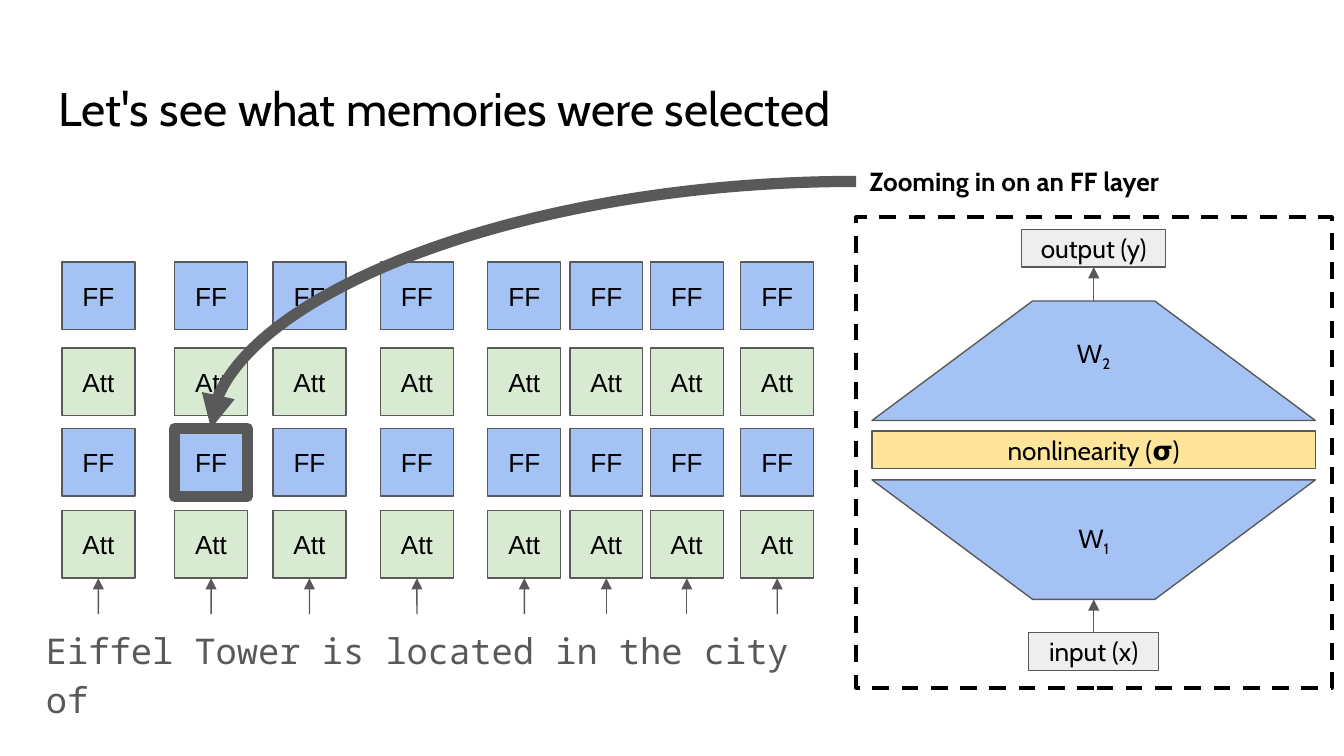
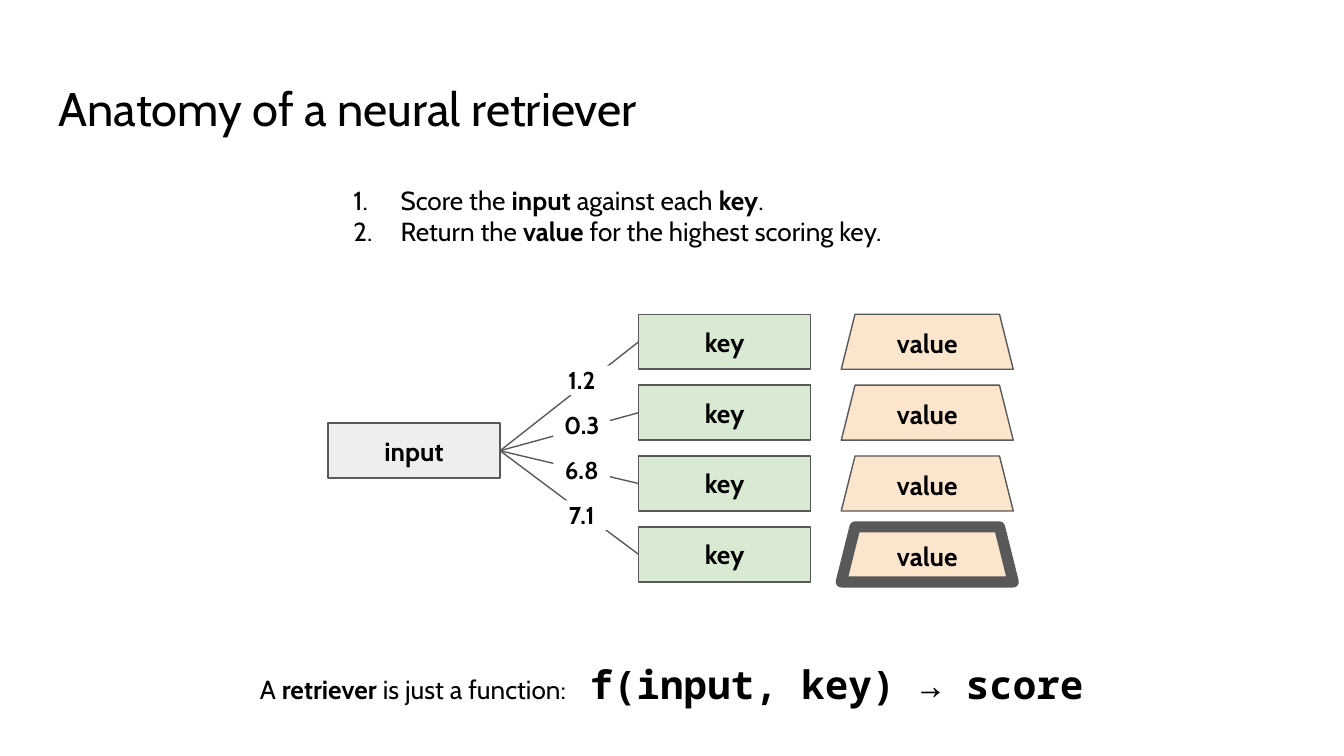
from pptx import Presentation
from pptx.dml.color import RGBColor
from pptx.enum.dml import MSO_LINE
from pptx.enum.shapes import MSO_CONNECTOR as Link, MSO_SHAPE as Shape
from pptx.enum.text import MSO_ANCHOR as Anchor, MSO_AUTO_SIZE as Fit, PP_ALIGN as Align
from pptx.oxml.ns import qn
from pptx.util import Cm, Pt
from lxml.etree import SubElement

# Content
MEMORY_TITLE = "Let's see what memories were selected"
SENTENCE = "Eiffel Tower is located in the city of"
ZOOM_LABEL = "Zooming in on an FF layer"
RETRIEVER_TITLE = "Anatomy of a neural retriever"
SCORES = ["1.2", "0.3", "6.8", "7.1"]
BEST = 3
BOLD = {"bold": True}
STEPS = [
    ["Score the ", ("input", BOLD), " against each ", ("key", BOLD), "."],
    ["Return the ", ("value", BOLD), " for the highest scoring key."],
]
SUMMARY = ["A ", ("retriever", BOLD), " is just a function:",
           (" f(input, key) → score", {"bold": True, "size": 21, "font": "Noto Sans Mono"})]

# Shared style
COLORS = {"text": "000000", "line": "595959", "blue": "A4C2F4", "green": "D9EAD3",
          "yellow": "FFE599", "grey": "EEEEEE", "peach": "FCE5CD", "white": "FFFFFF"}
THIN, THICK = 0.75, 6
INSET = 0.25

# Layer grid, in centimetres
TOKEN_LEFTS = [1.17, 3.3, 5.16, 7.19, 9.22, 10.77, 12.29, 14]
LAYERS = [("FF", "blue", 4.95), ("Att", "green", 6.58), ("FF", "blue", 8.1), ("Att", "green", 9.65)]
CELL_WIDTH, CELL_HEIGHT = 1.38, 1.28
SELECTED = (1, 2)


def color(name):
    return RGBColor.from_string(COLORS[name])


def write(box, paragraphs, size=14, font="Cabin", ink="text", bold=False, align=Align.LEFT,
          anchor=Anchor.TOP, inset=INSET, grow=False, numbered=False):
    """Fill a shape; each paragraph is a list of strings or (string, format) pairs."""
    frame = box.text_frame
    frame.word_wrap = True
    frame.auto_size = Fit.SHAPE_TO_FIT_TEXT if grow else Fit.NONE
    frame.vertical_anchor = anchor
    frame.margin_left = frame.margin_right = Cm(inset)
    frame.margin_top = frame.margin_bottom = Cm(inset)
    for index, spans in enumerate(paragraphs):
        para = frame.add_paragraph() if index else frame.paragraphs[0]
        para.alignment = align
        if numbered:
            props = para._p.get_or_add_pPr()
            props.set("marL", str(Cm(1.27)))
            props.set("indent", str(-Cm(0.89)))
            SubElement(props, qn("a:buAutoNum"), type="arabicPeriod")
        for part in spans:
            text, own = (part, {}) if isinstance(part, str) else part
            span = para.add_run()
            span.text = text
            span.font.name = own.get("font", font)
            span.font.size = Pt(own.get("size", size))
            span.font.bold = own.get("bold", bold)
            span.font.color.rgb = color(ink)
            if "baseline" in own:
                span._r.get_or_add_rPr().set("baseline", str(own["baseline"]))
    return box


def add_text(page, place, paragraphs, **style):
    return write(page.shapes.add_textbox(*map(Cm, place)), paragraphs, **style)


def add_box(page, place, fill=None, text=None, kind=Shape.RECTANGLE, line="line", width=THIN,
            adjust=None, **style):
    box = page.shapes.add_shape(kind, *map(Cm, place))
    box.shadow.inherit = False
    if adjust is not None:
        box.adjustments[0] = adjust
    if fill:
        box.fill.solid()
        box.fill.fore_color.rgb = color(fill)
    else:
        box.fill.background()
    if line:
        box.line.color.rgb = color(line)
        box.line.width = Pt(width)
    else:
        box.line.fill.background()
    if text:
        write(box, [[text]], **{"align": Align.CENTER, "anchor": Anchor.MIDDLE, **style})
    return box


def add_link(page, start, end, kind=Link.STRAIGHT, width=THIN, arrow=True):
    """Draw a line; each end is an (x, y) point or a (shape, side) pair."""
    glued = [not isinstance(spot[0], (int, float)) for spot in (start, end)]
    points = [(0, 0) if stuck else spot for spot, stuck in zip((start, end), glued)]
    link = page.shapes.add_connector(kind, *(Cm(value) for point in points for value in point))
    if glued[0]:
        link.begin_connect(*start)
    if glued[1]:
        link.end_connect(*end)
    link.line.color.rgb = color("line")
    link.line.width = Pt(width)
    if arrow:
        SubElement(link.line._get_or_add_ln(), qn("a:tailEnd"), type="triangle")
    SubElement(link._element.spPr, qn("a:effectLst"))
    return link


def add_page(deck, title):
    page = deck.slides.add_slide(deck.slide_layouts[5])
    box = page.shapes.title
    box.left, box.top, box.width, box.height = map(Cm, (0.86, 1.25, 23.67, 1.6))
    write(box, [[title]], size=25.2)
    return page


def add_layer_grid(page):
    add_text(page, (0.62, 11.53, 14.96, 1.32), [[SENTENCE]], size=19, font="Noto Sans Mono",
             ink="line", grow=True)
    para = page.shapes[-1].text_frame.paragraphs[0]
    para.line_spacing, para.space_after = 1.15, Pt(12)
    for column, left in enumerate(TOKEN_LEFTS):
        for row, (name, fill, top) in enumerate(LAYERS):
            box = add_box(page, (left, top, CELL_WIDTH, CELL_HEIGHT), fill, name, font="Arial",
                          width=THICK if (column, row) == SELECTED else THIN)
        add_link(page, (left + CELL_WIDTH / 2, 11.61), (box, 2))


def add_zoom(page):
    left, width, middle = 16.48, 8.38, 20.67
    frame = add_box(page, (16.18, 4.11, 8.99, 8.89), line="text", width=2.25)
    frame.line.dash_style = MSO_LINE.DASH
    add_text(page, (16.18, 2.87, 7.75, 1.12), [[ZOOM_LABEL]], bold=True, grow=True)

    # Arrow from the label to the selected layer
    column, row = SELECTED
    target = (TOKEN_LEFTS[column] + CELL_WIDTH / 2, LAYERS[row][2])
    curve = add_link(page, (16.18, 3.43), target, kind=Link.CURVE, width=THICK)
    curve._element.spPr.find(qn("a:prstGeom")).set("prst", "curvedConnector2")

    # Weights around the nonlinearity
    add_box(page, (left, 8.15, width, 0.71), "yellow", "nonlinearity (𝞂)")
    for number, top, label_top, turn in (("1", 9.07, 9.65, 180), ("2", 5.69, 6.15, 0)):
        weights = add_box(page, (left, top, width, 2.26), "blue", kind=Shape.TRAPEZOID, adjust=1.343)
        weights.rotation = turn
        add_text(page, (middle - 1.12, label_top, 2.24, 1.12),
                 [["W", (number, {"baseline": -25000})]], align=Align.CENTER, anchor=Anchor.MIDDLE)

    # Input and output
    source = add_box(page, (middle - 1.23, 11.96, 2.46, 0.71), "grey", "input (x)")
    result = add_box(page, (middle - 1.36, 4.34, 2.72, 0.71), "grey", "output (y)")
    add_link(page, (source, 0), (middle, 11.33))
    add_link(page, (middle, 5.69), (result, 2))


def add_retriever(page):
    width, height, top, pitch = 3.25, 1.04, 5.94, 1.34
    query = add_box(page, (6.2, 8, width, height), "grey", "input", bold=True)
    for index in range(len(SCORES)):
        row_top = top + index * pitch
        key = add_box(page, (12.07, row_top, width, height), "green", "key", bold=True)
        add_box(page, (15.9, row_top, width, height), "peach", "value", kind=Shape.TRAPEZOID,
                adjust=0.25, bold=True, width=THICK if index == BEST else THIN)
        add_link(page, (query, 3), (key, 1), arrow=False)
    for index, score in enumerate(SCORES):
        add_box(page, (10.46, 6.91 + index * 0.85, 1.07, 0.56), "white", score, line=None,
                size=13, bold=True, anchor=Anchor.TOP, inset=0, grow=True)
    add_text(page, (6.05, 3.23, 15.09, 1.7), STEPS, numbered=True, grow=True)
    add_text(page, (0.86, 12.24, 23.67, 1.42), [SUMMARY], align=Align.CENTER, grow=True)


def main():
    deck = Presentation()
    deck.slide_width, deck.slide_height = Cm(25.4), Cm(14.29)
    page = add_page(deck, MEMORY_TITLE)
    add_layer_grid(page)
    add_zoom(page)
    add_retriever(add_page(deck, RETRIEVER_TITLE))
    deck.save("out.pptx")


if __name__ == "__main__":
    main()
